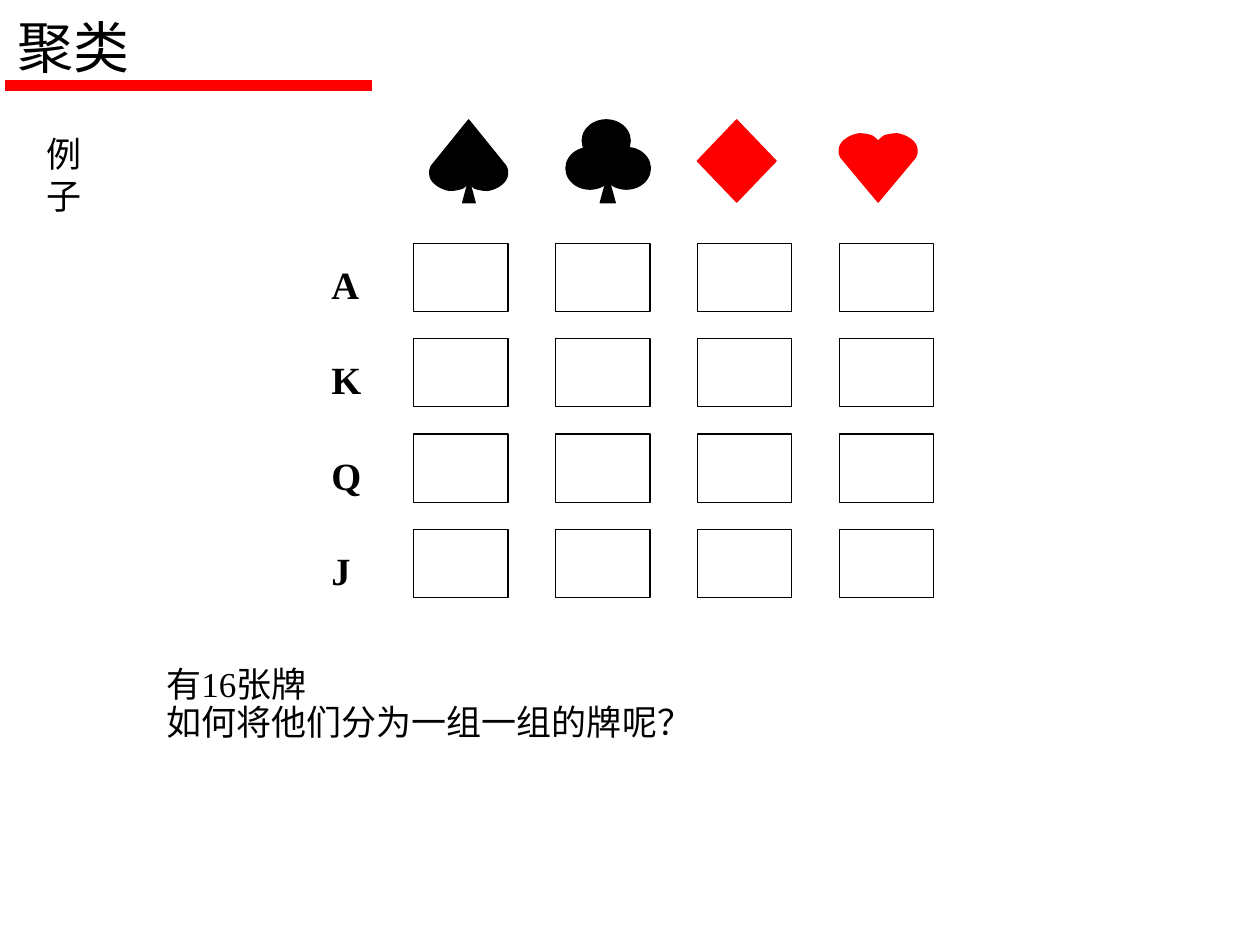
from pptx import Presentation
from pptx.dml.color import RGBColor
from pptx.enum import shapes, text
from pptx.oxml import ns, xmlchemy
from pptx.util import Pt

SERIF, CJK = "Times New Roman", "Noto Sans CJK SC"
BLACK, RED = "000000", "FF0000"
MS = shapes.MSO_SHAPE
RANKS = "AKQJ"

# Half of a heart as cubic curves: x from the axis in half widths, y from the top in heights
HALF_START = (0, 0.11)
HALF_CURVES = [
    [(0.03, 0.09), (0.1, 0.05), (0.16, 0.03)],
    [(0.26, 0.01), (0.39, 0), (0.49, 0)],
    [(0.61, 0.01), (0.74, 0.04), (0.83, 0.08)],
    [(0.93, 0.12), (0.98, 0.17), (0.99, 0.21)],
    [(1.01, 0.26), (0.99, 0.31), (0.95, 0.35)],
]


def color(value):
    return RGBColor.from_string(value)


def paint(sp, fill, line):
    sp.shadow.inherit = False
    if fill:
        sp.fill.solid()
        sp.fill.fore_color.rgb = color(fill)
    else:
        sp.fill.background()
    sp.line.color.rgb = color(line)
    sp.line.width = Pt(0.75)


def add_run(p, words, font, size, bold=False):
    r = p.add_run()
    r.text = words
    formats = {"name": font, "size": Pt(size), "bold": bold}
    for key, value in formats.items():
        setattr(r.font, key, value)
    r.font.color.rgb = color(BLACK)
    ea = xmlchemy.OxmlElement("a:ea")
    ea.set("typeface", CJK)
    r.font._element.find(ns.qn("a:latin")).addnext(ea)


def place(sp, box):
    for key, value in zip(("left", "top", "width", "height"), box):
        setattr(sp, key, Pt(value))


def add_text(s, box, lines, size, wrap=True, bold=False, **paragraph):
    """Each line is a list of (words, font) runs."""
    tf = s.shapes.add_textbox(*map(Pt, box)).text_frame
    tf.word_wrap = wrap
    for i, line in enumerate(lines):
        p = tf.add_paragraph() if i else tf.paragraphs[0]
        for key, value in paragraph.items():
            setattr(p, key, value)
        for words, font in line:
            add_run(p, words, font, size, bold)


def add_title(s, box, words, rule_width):
    x, y, w, h = box
    title = s.shapes.title
    place(title, box)
    tf = title.text_frame
    formats = {"word_wrap": False, "auto_size": text.MSO_AUTO_SIZE.NONE,
               "vertical_anchor": text.MSO_ANCHOR.TOP}
    for key, value in formats.items():
        setattr(tf, key, value)
    p = tf.paragraphs[0]
    p.alignment = text.PP_ALIGN.LEFT
    add_run(p, words, SERIF, 32)
    rule_y = y + h - 0.7
    rule = s.shapes.add_connector(shapes.MSO_CONNECTOR.STRAIGHT, Pt(x), Pt(rule_y),
                                  Pt(x + rule_width), Pt(rule_y))
    rule.line.color.rgb = color(RED)
    rule.line.width = Pt(6)
    rule._element.spPr.append(xmlchemy.OxmlElement("a:effectLst"))


def add_preset(group, kind, box, fill, line=None):
    paint(group.add_shape(kind, *map(Pt, box)), fill, line or fill)


def half_heart(steps=6):
    points = [HALF_START]
    for a, b, c in HALF_CURVES:
        start = points[-1]
        for i in range(1, steps + 1):
            t = i / steps
            weights = ((1 - t) ** 3, 3 * t * (1 - t) ** 2, 3 * t * t * (1 - t), t ** 3)
            points.append(tuple(sum(k * q[axis] for k, q in zip(weights, (start, a, b, c)))
                                for axis in (0, 1)))
    return points


def add_heart(group, box, fill, upside_down=False):
    x, y, w, h = box
    half = half_heart()
    outline = half + [(0, 1)] + [(-dx, dy) for dx, dy in reversed(half[1:])]
    points = [(Pt(x + w / 2 * (1 + dx)), Pt(y + h * (1 - dy if upside_down else dy)))
              for dx, dy in outline]
    builder = group.build_freeform(*points[0])
    builder.add_line_segments(points[1:], close=True)
    paint(builder.convert_to_shape(), fill, fill)


def add_spade(s, x, y):
    group = s.shapes.add_group_shape().shapes
    add_heart(group, (x, y, 44.6, 40.3), BLACK, upside_down=True)
    add_preset(group, MS.FLOWCHART_EXTRACT, (x + 18.9, y + 34, 7.2, 13.4), BLACK)


def add_club(s, x, y):
    group = s.shapes.add_group_shape().shapes
    for dx, dy in [(9.3, 0), (20.8, 15.8), (0, 15.8)]:
        add_preset(group, MS.OVAL, (x + dx, y + dy, 27.4, 23.8), BLACK)
    add_preset(group, MS.FLOWCHART_EXTRACT, (x + 19.6, y + 31.7, 8.6, 15.7), BLACK)


def add_suits(s, x, y):
    add_spade(s, x + 9.2, y)
    add_club(s, x + 87.1, y)
    add_preset(s.shapes, MS.FLOWCHART_DECISION, (x + 162.2, y, 45, 47), RED)
    add_heart(s.shapes, (x + 243.2, y + 8, 44.6, 39), RED)


def add_cards(s, x, y, w=54, h=39, step_x=81.1, step_y=54.5):
    for row, rank in enumerate(RANKS):
        top = y + row * step_y
        add_text(s, (x - w, top - 24, w, h), [[(rank, SERIF)]], 22, bold=True,
                 line_spacing=2.16, alignment=text.PP_ALIGN.JUSTIFY)
        for column in range(4):
            add_preset(s.shapes, MS.RECTANGLE, (x + column * step_x, top, w, h), None, BLACK)


def main():
    prs = Presentation()
    prs.slide_width, prs.slide_height = Pt(720), Pt(540)
    s = prs.slides.add_slide(prs.slide_layouts[5])
    add_title(s, (3, 3.5, 78.5, 46), "聚类", 209.5)
    add_text(s, (19.4, 72, 54, 31.7), [[("例子", CJK)]], 20, wrap=False)
    add_suits(s, 236.3, 68.5)
    add_cards(s, 236.3, 139)
    add_text(s, (88, 378, 561.6, 50.4),
             [[("有", CJK), ("16", SERIF), ("张牌", CJK)],
              [("如何将他们分为一组一组的牌呢？", CJK)]], 20, line_spacing=0.9)
    prs.save("out.pptx")


if __name__ == "__main__":
    main()
